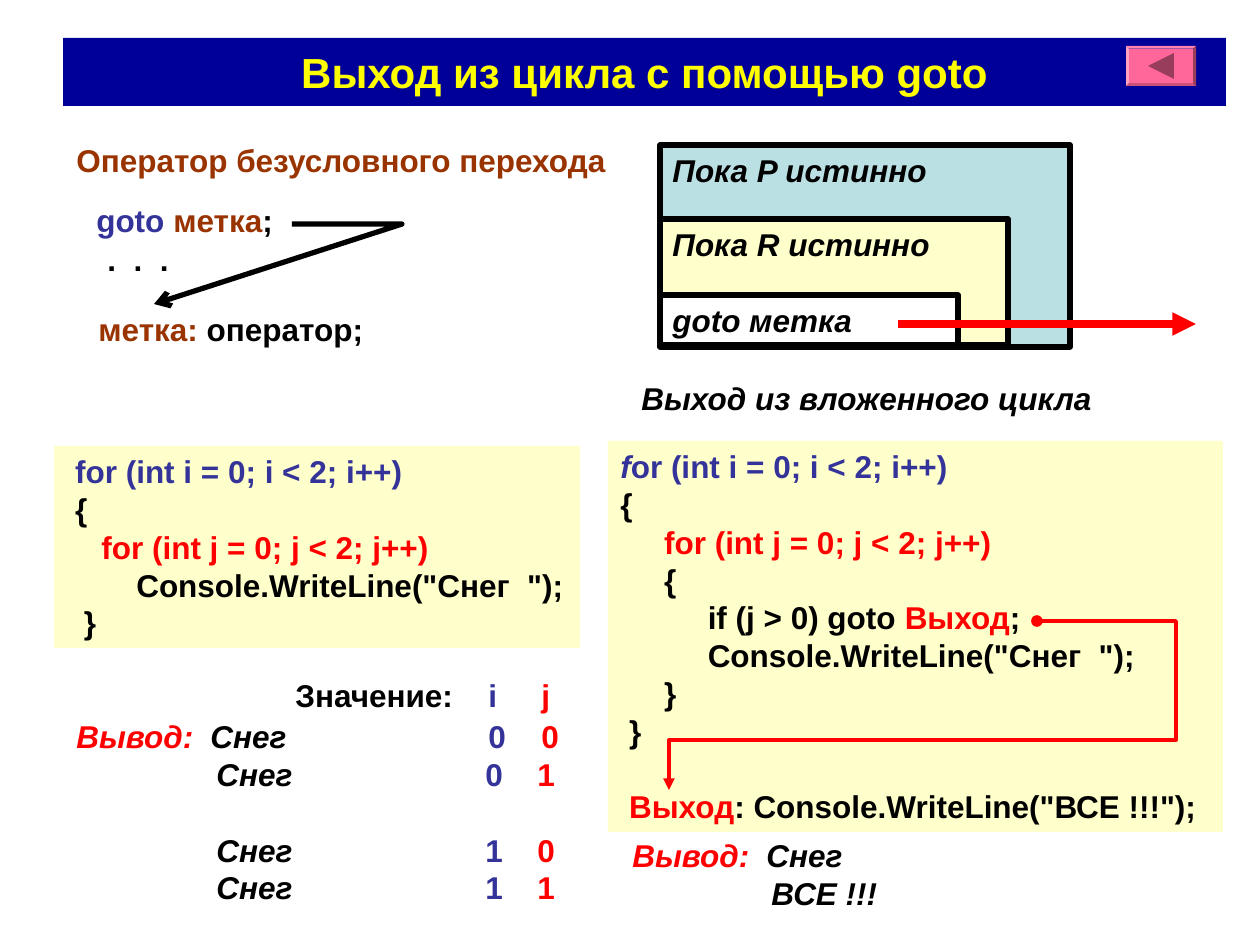
"""Build the slide on leaving nested loops with goto."""
from lxml.etree import SubElement
from pptx import Presentation
from pptx.dml.color import RGBColor
from pptx.enum.shapes import MSO_CONNECTOR, MSO_SHAPE
from pptx.enum.text import MSO_ANCHOR, MSO_AUTO_SIZE, PP_ALIGN
from pptx.oxml.ns import qn
from pptx.util import Emu, Inches, Pt

PX = 914400 / 126
LINE = 21.6
BLACK, RED, BLUE, BROWN = "000000", "FF0000", "333399", "993300"
CREAM, NAVY, PINK = "FFFFCC", "000099", "FF6699"

TITLE = "Выход из цикла с помощью goto"

LABELS = [
    ((64, 135, 558, 50), [[("Оператор безусловного перехода", BROWN)]]),
    ((84, 195, 202, 50), [[("goto ", BLUE), ("метка", BROWN), (";", BLACK)]]),
    ((86, 304, 291, 50), [[("метка: ", BROWN), ("оператор;", BLACK)]]),
    ((95, 234, 87, 50), [[(".  .  .", BLACK)]]),
    ((629, 373, 478, 50), [[("Выход из вложенного цикла", BLACK, True)]]),
]

LOOPS = [
    ((660, 145, 410, 202), "BBE0E3", "Пока P истинно"),
    ((660, 219, 348, 126), CREAM, "Пока R истинно"),
    ((660, 295, 298, 50), "FFFFFF", "goto метка"),
]

CODES = [
    ((54, 446, 526, 202), [
        [(" ", BLACK), ("for (int i = 0; i < 2; i++)", BLUE)],
        [(" {", BLACK)],
        [("    ", BLACK), ("for (int j = 0; j < 2; j++)", RED)],
        [('        Console.WriteLine("Снег  ");', BLACK)],
        [("  }", BLACK)],
    ], {}),
    ((608, 441, 615, 391), [
        [("f", BLUE, True), ("or (int i = 0; i < 2; i++)", BLUE)],
        [("{", BLACK)],
        [("     ", BLACK), ("for (int j = 0; j < 2; j++)", RED)],
        [("     {", BLACK)],
        [("          if (j > 0) goto ", BLACK), ("Выход", RED), (";", BLACK)],
        [('          Console.WriteLine("Снег  ");', BLACK)],
        [("     }", BLACK)],
        [(" }", BLACK)],
        [(" ", BLACK), ("Выход", RED), (': Console.WriteLine("ВСЕ !!!");', BLACK)],
    ], {8: LINE}),
]

PAIRS = [(0, 0), (0, 1), (1, 0), (1, 1)]
HEAD = [("Вывод:", RED, True)]
SNOW = ("\tСнег", BLACK, True)
ROWS = [
    (HEAD if not n else []) + [SNOW, (f"\t{i}", BLUE), (f"\t{j}", RED)]
    for n, (i, j) in enumerate(PAIRS)
]
TABLES = [
    ((283, 670, 280, 50),
     [[("Значение:", BLACK), ("\ti", BLUE), ("\tj", RED)]], [(193, 246)], {}),
    ((64, 711, 515, 277), ROWS,
     [(134, 412, 465)] + [(140, 409, 461)] * 3, {2: LINE}),
    ((620, 830, 515, 88), [HEAD + [SNOW], [("\tВСЕ !!!", BLACK, True)]],
     [(134,), (139,)], {}),
]

JUMP = [(292, 224), (402, 224), (154, 304)]
EXIT = [(1037, 621), (1176, 621), (1176, 740), (669, 740), (669, 790)]
BACK = [(1148, 66), (1174, 53), (1174, 79)]


def px(num):
    return Emu(round(num * PX))


def tint(code):
    return RGBColor.from_string(code)


def paint(part, code):
    part.fill.solid()
    part.fill.fore_color.rgb = tint(code)


def stroke(part, code, width, **ends):
    part.line.color.rgb = tint(code)
    part.line.width = Pt(width)
    line = part.line._ln
    SubElement(line, qn("a:round"))
    for name, kind in ends.items():
        SubElement(line, qn(f"a:{name}End"), type=kind)


def set_tabs(para, stops):
    tabs = SubElement(para._p.get_or_add_pPr(), qn("a:tabLst"))
    for stop in stops:
        SubElement(tabs, qn("a:tab"), pos=str(px(stop)), algn="l")


def add_run(para, text, code, slant=False, size=18):
    run = para.add_run()
    run.text = text
    font = run.font
    font.name, font.size, font.bold, font.italic = "Arial", Pt(size), True, slant
    font.color.rgb = tint(code)


def write(part, paras, stops=(), gaps=None):
    frame = part.text_frame
    frame.word_wrap = True
    frame.vertical_anchor = MSO_ANCHOR.TOP
    frame.margin_right = 0
    for n, runs in enumerate(paras):
        para = frame.add_paragraph() if n else frame.paragraphs[0]
        if stops:
            set_tabs(para, stops[n])
        para.alignment = PP_ALIGN.LEFT
        para.line_spacing = Pt(LINE)
        if gaps and n in gaps:
            para.space_before = Pt(gaps[n])
        for run in runs:
            add_run(para, *run)


def add_shape(shapes, kind, area, code):
    part = shapes.add_shape(kind, *map(px, area))
    part.shadow.inherit = False
    paint(part, code)
    part.line.fill.background()
    return part


def add_path(shapes, points, close=False):
    pen = shapes.build_freeform(*points[0], scale=PX)
    pen.add_line_segments(points[1:], close=close)
    part = pen.convert_to_shape()
    part.shadow.inherit = False
    part.fill.background()
    return part


def add_title(shapes):
    part = shapes.title
    part.left, part.top, part.width, part.height = map(px, (63, 38, 1163, 68))
    paint(part, NAVY)
    frame = part.text_frame
    frame.auto_size = MSO_AUTO_SIZE.NONE
    frame.vertical_anchor = MSO_ANCHOR.MIDDLE
    para = frame.paragraphs[0]
    para.alignment = PP_ALIGN.CENTER
    add_run(para, TITLE, "FFFF00", size=24)


def add_back(shapes):
    part = add_shape(shapes, MSO_SHAPE.BEVEL, (1126, 46, 70, 40), PINK)
    part.adjustments[0] = 0.07
    arrow = add_path(shapes, BACK, close=True)
    paint(arrow, "993D5C")
    arrow.line.fill.background()


def main():
    deck = Presentation()
    deck.slide_width, deck.slide_height = Inches(10), Inches(7.5)
    shapes = deck.slides.add_slide(deck.slide_layouts[5]).shapes
    add_title(shapes)
    add_back(shapes)
    for area, paras in LABELS:
        write(shapes.add_textbox(*map(px, area)), paras)
    stroke(add_path(shapes, JUMP), BLACK, 3, tail="arrow")
    for area, code, text in LOOPS:
        part = add_shape(shapes, MSO_SHAPE.RECTANGLE, area, code)
        part.line.color.rgb = tint(BLACK)
        part.line.width = Pt(3)
        write(part, [[(text, BLACK, True)]])
    ray = shapes.add_connector(MSO_CONNECTOR.STRAIGHT, *map(px, (898, 324, 1196, 324)))
    SubElement(ray._element.spPr, qn("a:effectLst"))
    stroke(ray, RED, 4.5, tail="triangle")
    for area, paras, gaps in CODES:
        part = add_shape(shapes, MSO_SHAPE.RECTANGLE, area, CREAM)
        write(part, paras, gaps=gaps)
    for area, paras, stops, gaps in TABLES:
        write(shapes.add_textbox(*map(px, area)), paras, stops, gaps)
    stroke(add_path(shapes, EXIT), RED, 2.25, head="oval", tail="triangle")
    deck.save("out.pptx")


if __name__ == "__main__":
    main()
